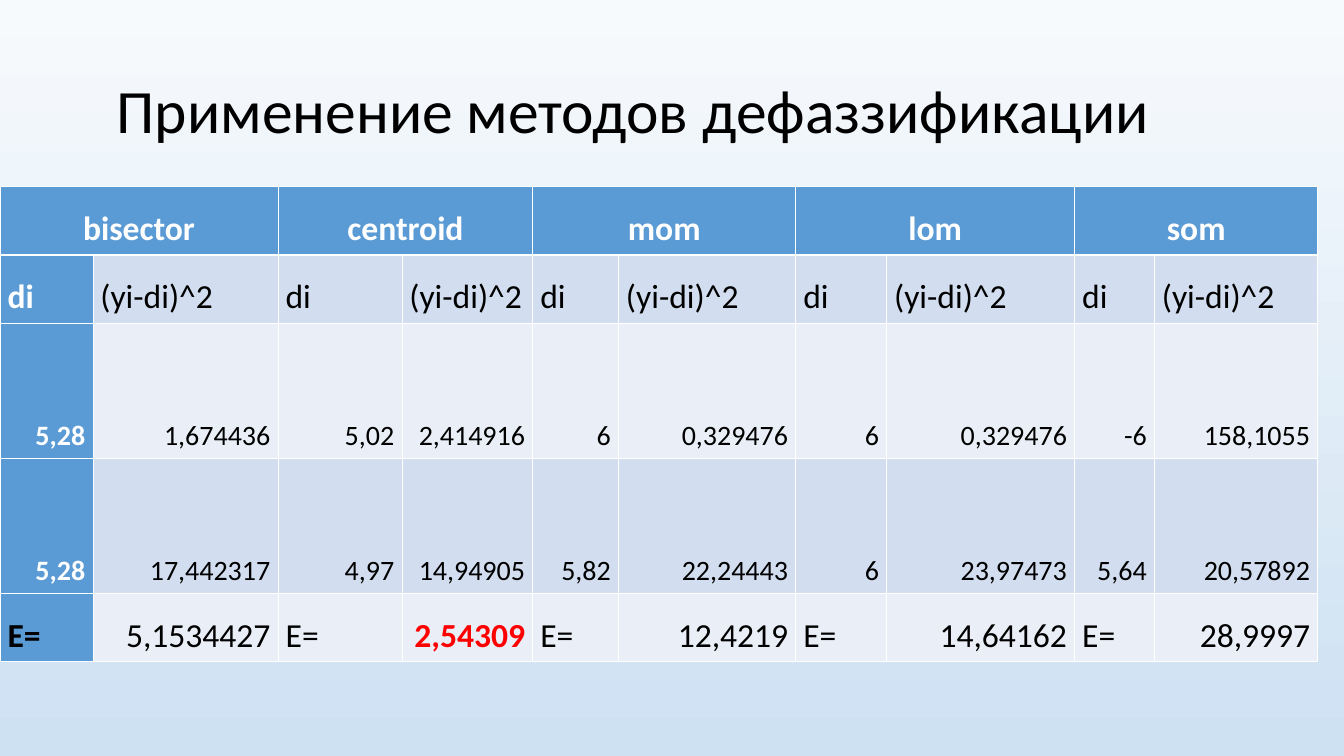
"""Build a slide that compares defuzzification methods in a table."""
from lxml import etree
from pptx import Presentation
from pptx.dml.color import RGBColor
from pptx.enum import text
from pptx.oxml import ns
from pptx.util import Cm, Pt

TITLE = "Применение методов дефаззификации"
METHODS = ["bisector", "centroid", "mom", "lom", "som"]
SUBHEADS = ["di", "(yi-di)^2"]
SAMPLES = [
    ["5,28", "1,674436", "5,02", "2,414916", "6", "0,329476", "6", "0,329476", "-6", "158,1055"],
    ["5,28", "17,442317", "4,97", "14,94905", "5,82", "22,24443", "6", "23,97473", "5,64", "20,57892"],
]
ERRORS = ["5,1534427", "2,54309", "12,4219", "14,64162", "28,9997"]
BEST_ERROR = "2,54309"

COLUMN_WIDTHS = [2.34, 4.67, 3.12, 3.3, 2.16, 4.47, 2.29, 4.74, 2.01, 4.12]
ROW_HEIGHTS = [1.72, 1.72, 3.4, 3.4, 1.72]
FONT = "Calibri"
WHITE, BLACK, RED = "FFFFFF", "000000", "FF0000"
ACCENT, BANDS = "5B9BD5", ["EAEFF7", "D2DEEF"]
BACKGROUND = ["F7FAFD", "CEE1F2"]
THIN, THICK = 0.45, 1.47

ROWS = [
    [label for method in METHODS for label in (method, "")],
    SUBHEADS * len(METHODS),
    *SAMPLES,
    [label for error in ERRORS for label in ("E=", error)],
]
HEADER, SUBHEADER, TOTAL = 0, 1, len(ROWS) - 1


def rgb(value):
    return RGBColor.from_string(value)


def style(paragraph, size, color, bold, align, spacing):
    paragraph.alignment = align
    paragraph.line_spacing = spacing
    font = paragraph.font
    font.name, font.size, font.bold = FONT, Pt(size), bold
    font.color.rgb = rgb(color)


def set_borders(cell, row):
    widths = {
        "lnL": THIN,
        "lnR": THIN,
        "lnT": THICK if row == SUBHEADER else THIN,
        "lnB": THICK if row == HEADER else THIN,
    }
    properties = cell._tc.get_or_add_tcPr()
    for side, width in widths.items():
        line = etree.SubElement(properties, ns.qn(f"a:{side}"), w=str(Pt(width)))
        solid = etree.SubElement(line, ns.qn("a:solidFill"))
        etree.SubElement(solid, ns.qn("a:srgbClr"), val=WHITE)


def fill_cell(cell, row, column, content):
    accented = row == HEADER or column == 0
    set_borders(cell, row)
    cell.fill.solid()
    cell.fill.fore_color.rgb = rgb(ACCENT if accented else BANDS[row % 2])
    cell.vertical_anchor = text.MSO_ANCHOR.BOTTOM
    cell.margin_left = cell.margin_right = Cm(0.19)
    if not content:
        return

    if row == HEADER:
        align = text.PP_ALIGN.CENTER
    elif row == SUBHEADER or content == "E=":
        align = text.PP_ALIGN.LEFT
    else:
        align = text.PP_ALIGN.RIGHT
    best = row == TOTAL and content == BEST_ERROR
    color = RED if best else WHITE if accented and row != TOTAL else BLACK
    size = 20 if SUBHEADER < row < TOTAL else 24
    cell.text = content
    style(cell.text_frame.paragraphs[0], size, color, accented or best, align, 1.15)


def main():
    presentation = Presentation()
    presentation.slide_width, presentation.slide_height = Cm(33.88), Cm(19.05)
    slide = presentation.slides.add_slide(presentation.slide_layouts[5])

    backdrop = slide.background.fill
    backdrop.gradient()
    backdrop.gradient_angle = 270
    for stop, color in zip(backdrop.gradient_stops, BACKGROUND):
        stop.color.rgb = rgb(color)

    title = slide.shapes.title
    title.left, title.top, title.width, title.height = Cm(2.34), Cm(1.02), Cm(29.21), Cm(3.68)
    title.text_frame.text = TITLE
    title.text_frame.margin_left = Cm(0.6)
    title.text_frame.vertical_anchor = text.MSO_ANCHOR.MIDDLE
    style(title.text_frame.paragraphs[0], 44, BLACK, False, text.PP_ALIGN.LEFT, 0.9)

    comparison = slide.shapes.add_table(
        len(ROWS), len(COLUMN_WIDTHS), Cm(0), Cm(4.7),
        Cm(sum(COLUMN_WIDTHS)), Cm(sum(ROW_HEIGHTS)),
    ).table
    for column, width in zip(comparison.columns, COLUMN_WIDTHS):
        column.width = Cm(width)
    for row, height in zip(comparison.rows, ROW_HEIGHTS):
        row.height = Cm(height)
    for row, contents in enumerate(ROWS):
        for column, content in enumerate(contents):
            fill_cell(comparison.cell(row, column), row, column, content)
    for column in range(0, len(COLUMN_WIDTHS), 2):
        comparison.cell(HEADER, column).merge(comparison.cell(HEADER, column + 1))

    presentation.save("out.pptx")


if __name__ == "__main__":
    main()
